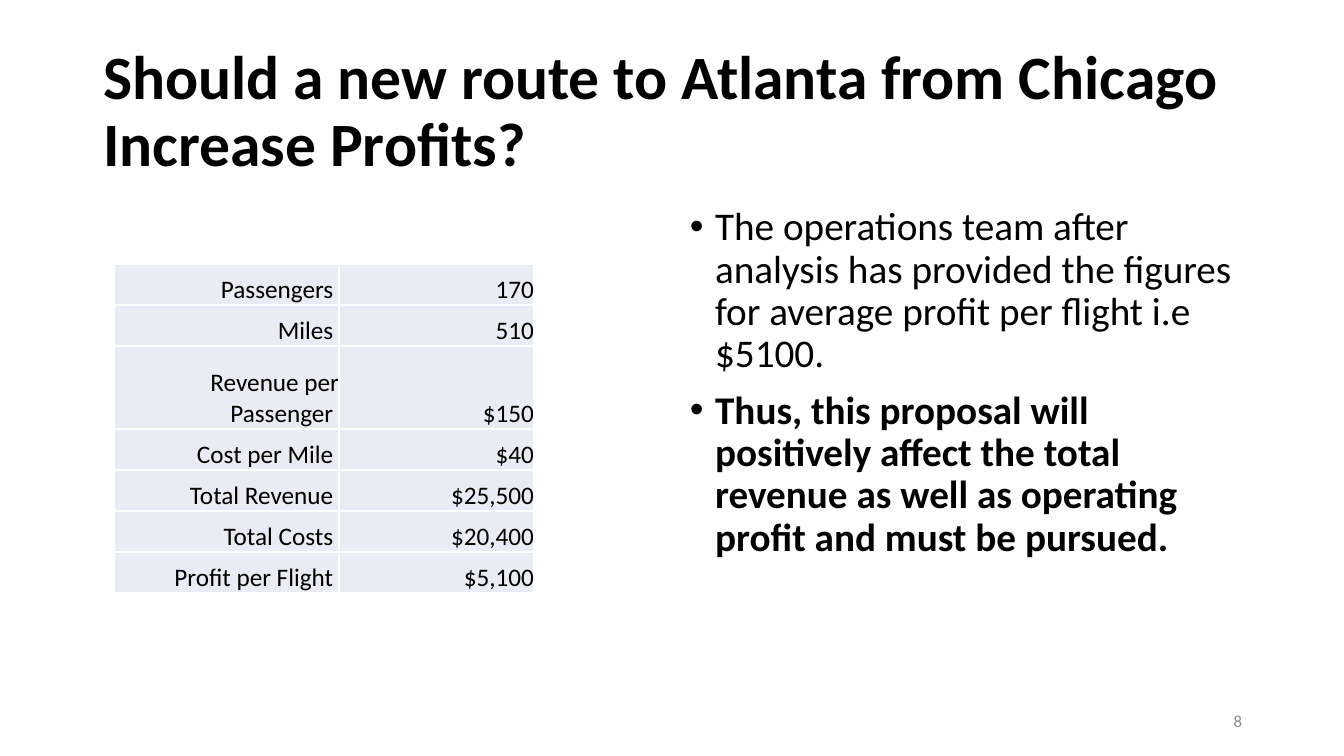
from dataclasses import dataclass

from lxml import etree
from pptx import Presentation
from pptx import util as u
from pptx.dml.color import RGBColor
from pptx.enum import text
from pptx.oxml import ns

EMU_PER_PX = 914400 / 100.8


@dataclass(frozen=True)
class Theme:
    font: str = "Calibri"
    ink: str = "000000"
    muted: str = "8C8C8C"
    cell: str = "E9EBF5"
    border: str = "FFFFFF"
    title_size: int = 44
    body_size: int = 28
    table_size: int = 18
    number_size: int = 12


THEME = Theme()

TITLE = "Should a new route to Atlanta from Chicago Increase Profits?"
FIGURES = [
    ("Passengers ", "170"),
    ("Miles ", "510"),
    ("Revenue per Passenger ", "$150"),
    ("Cost per Mile ", "$40"),
    ("Total Revenue ", "$25,500"),
    ("Total Costs ", "$20,400"),
    ("Profit per Flight ", "$5,100"),
]
TWO_LINE_ROW = 2
# (text, bold)
FINDINGS = [
    ("The operations team after analysis has provided the figures "
     "for average profit per flight i.e $5100.", False),
    ("Thus, this proposal will positively affect the total revenue "
     "as well as operating profit and must be pursued.", True),
]


def px(n):
    return u.Emu(round(n * EMU_PER_PX))


def add_run(p, words, size, color=THEME.ink, bold=False):
    r = p.add_run()
    r.text = words
    r.font.name = THEME.font
    r.font.size = u.Pt(size)
    r.font.bold = bold
    r.font.color.rgb = RGBColor.from_string(color)


def set_title(s, words, x, y, w, h):
    sp = s.shapes.title
    sp.left, sp.top, sp.width, sp.height = px(x), px(y), px(w), px(h)
    tf = sp.text_frame
    tf.word_wrap = True
    tf.auto_size = text.MSO_AUTO_SIZE.NONE
    tf.vertical_anchor = text.MSO_ANCHOR.MIDDLE
    p = tf.paragraphs[0]
    p.alignment = text.PP_ALIGN.LEFT
    p.line_spacing = 0.9
    add_run(p, words, THEME.title_size, bold=True)


def add_text_frame(s, x, y, w, h):
    tf = s.shapes.add_textbox(px(x), px(y), px(w), px(h)).text_frame
    tf.word_wrap = True
    return tf


def add_bullets(s, items, x, y, w, h):
    tf = add_text_frame(s, x, y, w, h)
    for i, (words, bold) in enumerate(items):
        p = tf.paragraphs[0] if i == 0 else tf.add_paragraph()
        p.line_spacing = 0.9
        p.space_before = u.Pt(10)
        pPr = p._p.get_or_add_pPr()
        pPr.set("marL", str(u.Inches(0.25)))
        pPr.set("indent", str(-u.Inches(0.25)))
        etree.SubElement(pPr, ns.qn("a:buFont"), typeface="Arial")
        etree.SubElement(pPr, ns.qn("a:buChar"), char="\u2022")
        add_run(p, words, THEME.body_size, bold=bold)


def add_borders(cell):
    tcPr = cell._tc.get_or_add_tcPr()
    for side in ("lnL", "lnR", "lnT", "lnB"):
        ln = etree.SubElement(tcPr, ns.qn("a:" + side), w=str(u.Pt(1)))
        fill = etree.SubElement(ln, ns.qn("a:solidFill"))
        etree.SubElement(fill, ns.qn("a:srgbClr"), val=THEME.border)


def fill_cell(cell, words):
    add_borders(cell)
    cell.fill.solid()
    cell.fill.fore_color.rgb = RGBColor.from_string(THEME.cell)
    cell.margin_left = cell.margin_right = 0
    cell.margin_top = cell.margin_bottom = 0
    cell.vertical_anchor = text.MSO_ANCHOR.BOTTOM
    p = cell.text_frame.paragraphs[0]
    p.alignment = text.PP_ALIGN.RIGHT
    add_run(p, words, THEME.table_size)


def add_figures_table(s, rows, x, y, col_widths, row_heights):
    frame = s.shapes.add_table(len(rows), len(col_widths), px(x), px(y),
                               px(sum(col_widths)), px(sum(row_heights)))
    table = frame.table
    table.first_row = table.horz_banding = False
    for col, width in zip(table.columns, col_widths):
        col.width = px(width)
    for row, height, values in zip(table.rows, row_heights, rows):
        row.height = px(height)
        for cell, words in zip(row.cells, values):
            fill_cell(cell, words)


def add_slide_number(s, number, x, y, w, h):
    tf = add_text_frame(s, x, y, w, h)
    tf.vertical_anchor = text.MSO_ANCHOR.MIDDLE
    p = tf.paragraphs[0]
    p.alignment = text.PP_ALIGN.RIGHT
    add_run(p, number, THEME.number_size, THEME.muted)


def main():
    prs = Presentation()
    prs.slide_width, prs.slide_height = px(1344), px(756)
    s = prs.slides.add_slide(prs.slide_layouts.get_by_name("Title Only"))

    # Heading
    set_title(s, TITLE, 93, 40, 1159, 146)

    # Flight figures; the wrapped label gets a double row
    heights = [83 if i == TWO_LINE_ROW else 41 for i in range(len(FIGURES))]
    add_figures_table(s, FIGURES, 114, 264, (225, 195), heights)

    # Findings and page number
    add_bullets(s, FINDINGS, 680, 202, 572, 480)
    add_slide_number(s, "8", 950, 701, 302, 40)

    prs.save("out.pptx")


main()
